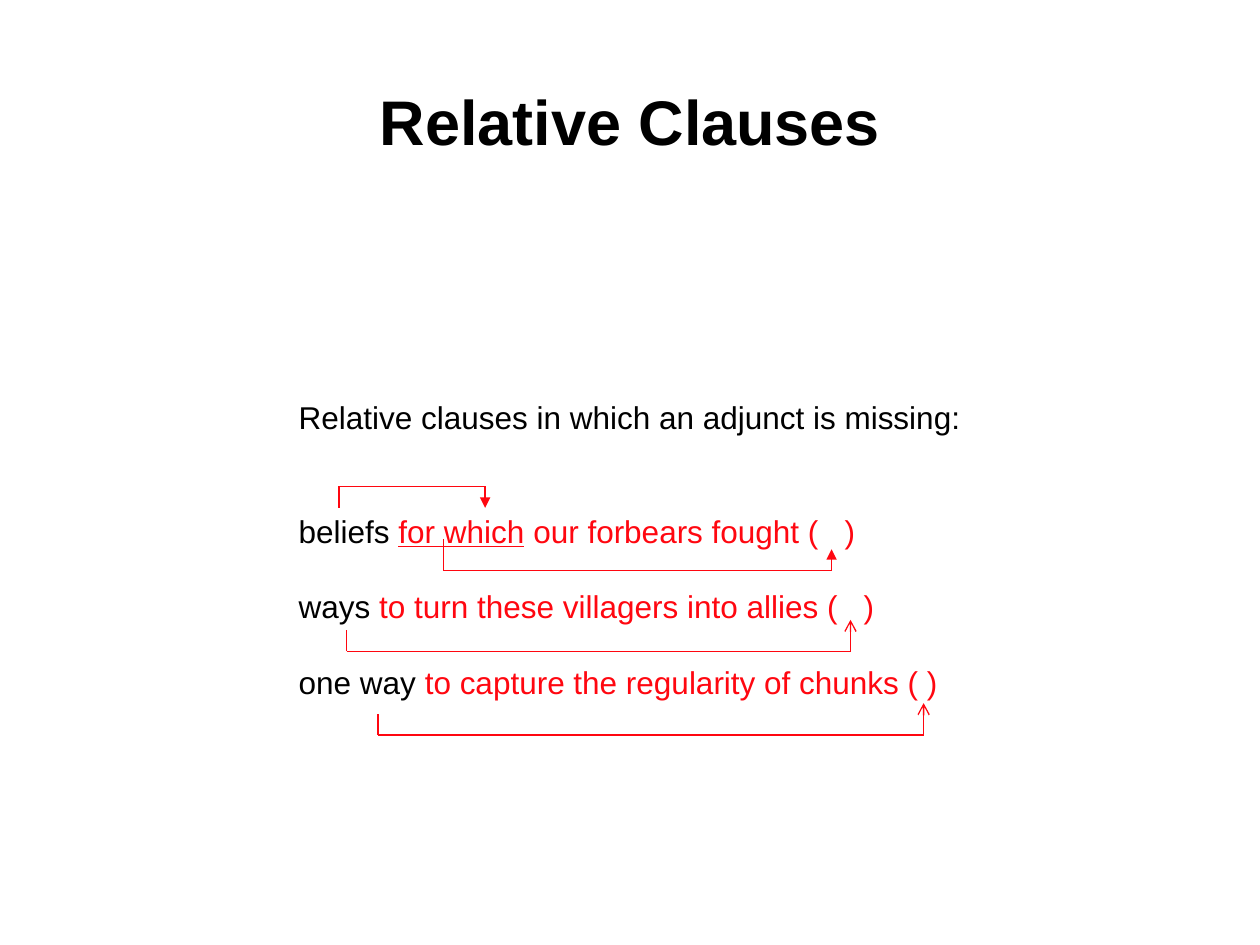
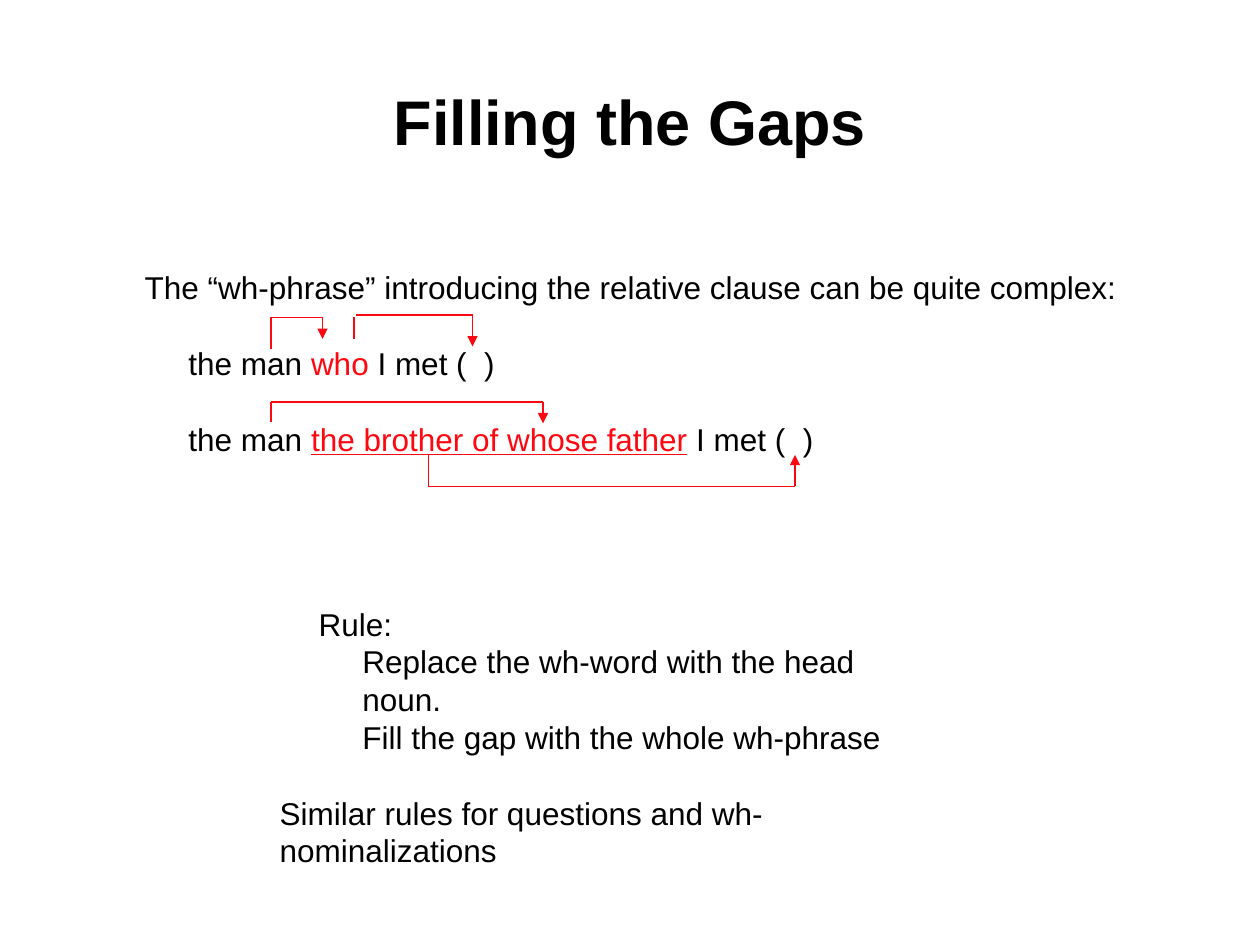
from dataclasses import dataclass

from lxml.etree import SubElement
from pptx import Presentation
from pptx.dml.color import RGBColor
from pptx.enum.shapes import MSO_CONNECTOR
from pptx.enum.text import MSO_ANCHOR, PP_ALIGN
from pptx.oxml.ns import qn
from pptx.slide import Slide
from pptx.util import Pt

BLACK = RGBColor(0x00, 0x00, 0x00)
RED = RGBColor(0xFF, 0x07, 0x10)
FONT = "Arial"
TITLE_SIZE = 36
BODY_SIZE = 18
LINE_PITCH = 21.6
INDENT = 25


@dataclass(frozen=True)
class Span:
    text: str
    color: RGBColor = BLACK
    underline: bool = False
    bold: bool = False
    size: float = BODY_SIZE


@dataclass(frozen=True)
class Line:
    spans: tuple[Span, ...]
    blank_lines: int = 0
    indent: float = 0


@dataclass(frozen=True)
class TextBlock:
    left: float
    top: float
    width: float
    height: float
    lines: tuple[Line, ...]


@dataclass(frozen=True)
class Bracket:
    x1: float
    y1: float
    rail: float
    x2: float
    y2: float
    head: str = "triangle"
    gap: float = 0


@dataclass(frozen=True)
class Page:
    title: str
    blocks: tuple[TextBlock, ...]
    brackets: tuple[Bracket, ...]


PAGES = (
    Page(
        "Relative Clauses",
        (
            TextBlock(163.6, 224, 392.4, 201.6, (
                Line((Span("Relative clauses in which an adjunct is missing:"),)),
                Line((Span("beliefs "), Span("for which", RED, True),
                      Span(" our forbears fought (   )", RED)), 2),
                Line((Span("ways"),
                      Span(" to turn these villagers into allies (   )", RED)), 1),
                Line((Span("one way "),
                      Span("to capture the regularity of chunks ( )", RED)), 1),
            )),
        ),
        (
            Bracket(193.7, 290.2, 277.9, 277.2, 290.2),
            Bracket(253.4, 308.2, 326.2, 475.2, 313.9),
            Bracket(198, 360, 372.2, 486, 354.2, "arrow"),
            Bracket(216, 408.2, 420, 527.8, 401.8, "arrow"),
        ),
    ),
    Page(
        "Filling the Gaps",
        (
            TextBlock(75.6, 149.8, 569.5, 115.2, (
                Line((Span("The “wh-phrase” introducing the relative clause "
                           "can be quite complex:"),)),
                Line((Span("the man "), Span("who ", RED), Span("I met (  )")),
                     1, INDENT),
                Line((Span("the man "),
                      Span("the brother of whose father", RED, True),
                      Span(" I met (  )")), 1, INDENT),
            )),
            TextBlock(175, 342, 370, 72, (
                Line((Span("Rule:"),)),
                Line((Span("Replace the wh-word with the head noun."),),
                     indent=INDENT),
                Line((Span("Fill the gap with the whole wh-phrase"),),
                     indent=INDENT),
            )),
            TextBlock(152.7, 450, 414, 28.8, (
                Line((Span("Similar rules for questions and wh-nominalizations"),)),
            )),
        ),
        (
            Bracket(154.8, 199.4, 181.4, 184.3, 193.7),
            Bracket(202.3, 193.7, 181.4, 270, 198, gap=1.4),
            Bracket(154.8, 241.2, 229.7, 310.3, 241.9),
            Bracket(244.8, 259.9, 277.9, 454.3, 259.9),
        ),
    ),
)


def add_span(p, span: Span) -> None:
    r = p.add_run()
    r.text = span.text
    r.font.name = FONT
    r.font.size = Pt(span.size)
    r.font.bold = span.bold
    r.font.underline = span.underline
    r.font.color.rgb = span.color


def add_title(s: Slide, title: str) -> None:
    tf = s.shapes.add_textbox(Pt(54), Pt(24), Pt(612), Pt(90)).text_frame
    tf.word_wrap = True
    tf.vertical_anchor = MSO_ANCHOR.MIDDLE
    p = tf.paragraphs[0]
    p.alignment = PP_ALIGN.CENTER
    add_span(p, Span(title, bold=True, size=TITLE_SIZE))


def add_block(s: Slide, block: TextBlock) -> None:
    tf = s.shapes.add_textbox(Pt(block.left), Pt(block.top),
                              Pt(block.width), Pt(block.height)).text_frame
    tf.word_wrap = False
    for i, line in enumerate(block.lines):
        p = tf.add_paragraph() if i else tf.paragraphs[0]
        p.alignment = PP_ALIGN.LEFT
        p.line_spacing = Pt(LINE_PITCH)
        p.space_before = Pt(line.blank_lines * LINE_PITCH)
        if line.indent:
            p._p.get_or_add_pPr().set("marL", str(Pt(line.indent)))
        for span in line.spans:
            add_span(p, span)


def add_line(s: Slide, x1: float, y1: float, x2: float, y2: float,
             head: str = "") -> None:
    c = s.shapes.add_connector(MSO_CONNECTOR.STRAIGHT,
                               Pt(x1), Pt(y1), Pt(x2), Pt(y2))
    c.line.color.rgb = RED
    c.line.width = Pt(0.75)
    if head:
        SubElement(c.line._get_or_add_ln(), qn("a:tailEnd"), type=head)
    SubElement(c._element.spPr, qn("a:effectLst"))


def add_bracket(s: Slide, b: Bracket) -> None:
    rail = b.rail - b.gap
    add_line(s, b.x1, b.y1, b.x1, b.rail)
    add_line(s, b.x1 + b.gap, rail, b.x2, rail)
    add_line(s, b.x2, rail, b.x2, b.y2, b.head)


def main() -> None:
    prs = Presentation()
    prs.slide_width, prs.slide_height = Pt(720), Pt(540)
    for page in PAGES:
        s = prs.slides.add_slide(prs.slide_layouts[6])
        add_title(s, page.title)
        for block in page.blocks:
            add_block(s, block)
        for bracket in page.brackets:
            add_bracket(s, bracket)
    prs.save("out.pptx")


if __name__ == "__main__":
    main()
